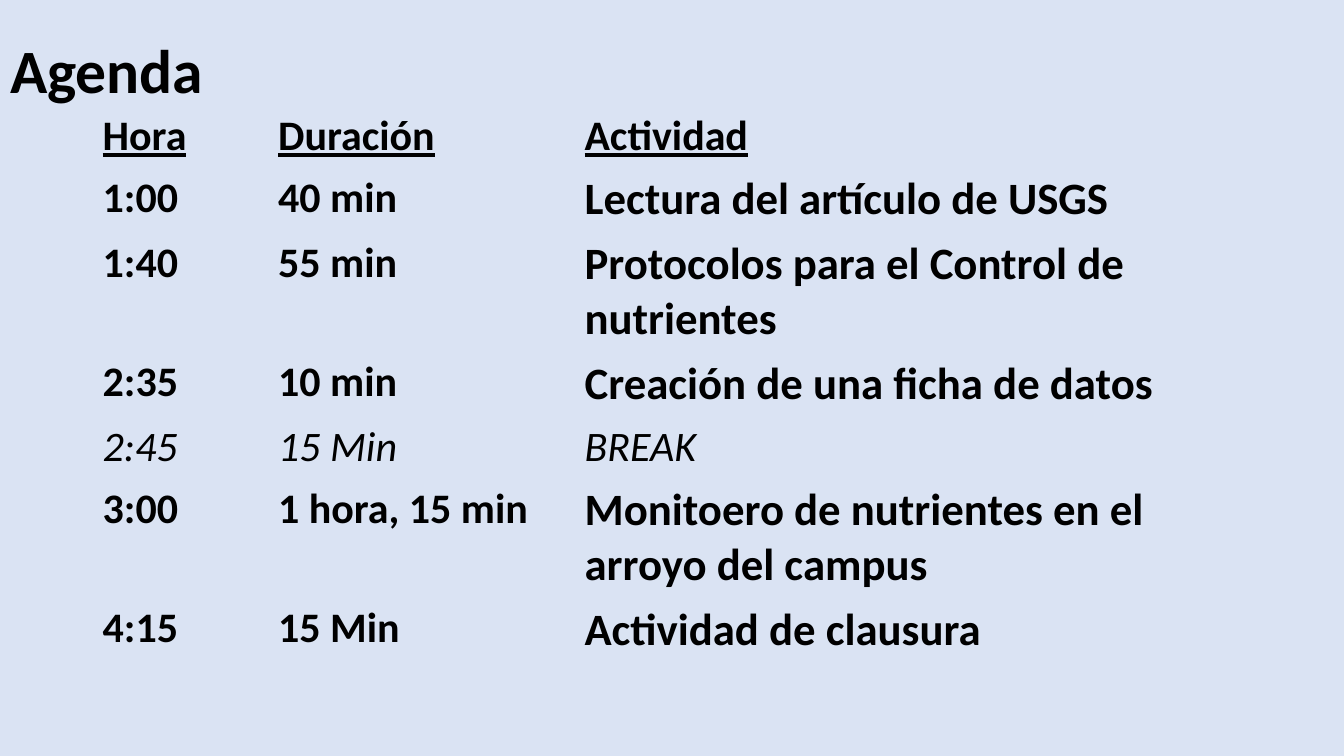
import pptx
import pptx.util
import pptx.dml.color
import pptx.enum.text
import pptx.oxml.ns

Pt = pptx.util.Pt
RGB = pptx.dml.color.RGBColor.from_string

THEME = {
    "font": "Calibri",
    "ink": "000000",
    "back": "DAE3F3",
    "title": 44,
    "cell": 30,
    "task": 32,
    "grid": "{2D5ABB26-0587-4C30-8999-92F81FD0307C}",
}

HEAD = {"bold": True, "underline": True}
PLAIN = {"bold": True}
PAUSE = {"bold": False, "italic": True}

AGENDA = [
    ("Hora", "Duración", "Actividad", HEAD),
    ("1:00", "40 min", "Lectura del artículo de USGS", PLAIN),
    ("1:40", "55 min", "Protocolos para el Control de nutrientes", PLAIN),
    ("2:35", "10 min", "Creación de una ficha de datos", PLAIN),
    ("2:45", "15 Min", "BREAK", PAUSE),
    ("3:00", "1 hora, 15 min", "Monitoero de nutrientes en el arroyo del campus", PLAIN),
    ("4:15", "15 Min", "Actividad de clausura", PLAIN),
]
WIDTHS = (125.3, 218.9, 484.6)
ROW = 29.5


class Deck:
    def __init__(self, theme):
        self.theme = theme
        self.file = pptx.Presentation()
        self.file.slide_width, self.file.slide_height = Pt(960), Pt(540)
        self.slide = self.file.slides.add_slide(self.file.slide_layouts[5])
        fill = self.slide.background.fill
        fill.solid()
        fill.fore_color.rgb = RGB(theme["back"])

    def label(self, frame, text, size, style):
        par = frame.paragraphs[0]
        par.alignment = pptx.enum.text.PP_ALIGN.LEFT
        run = par.add_run()
        run.text = text
        look = {"name": self.theme["font"], "size": Pt(size), **style}
        for key, value in look.items():
            setattr(run.font, key, value)
        run.font.color.rgb = RGB(self.theme["ink"])
        return par

    def title(self, text, left, top, width, height):
        shape = self.slide.shapes.title
        place = {"left": left, "top": top, "width": width, "height": height}
        for key, value in place.items():
            setattr(shape, key, Pt(value))
        shape.text_frame.vertical_anchor = pptx.enum.text.MSO_ANCHOR.MIDDLE
        par = self.label(shape.text_frame, text, self.theme["title"], PLAIN)
        par.line_spacing = 0.9

    def table(self, rows, left, top, height):
        frame = self.slide.shapes.add_table(
            len(rows), len(WIDTHS), Pt(left), Pt(top), Pt(sum(WIDTHS)), Pt(height))
        table = frame.table
        table.first_row = table.horz_banding = False
        for node in frame._element.iter(pptx.oxml.ns.qn("a:tableStyleId")):
            node.text = self.theme["grid"]
        for col, width in zip(table.columns, WIDTHS):
            col.width = Pt(width)
        for r, (*texts, style) in enumerate(rows):
            table.rows[r].height = Pt(ROW)
            for c, text in enumerate(texts):
                cell = table.cell(r, c)
                cell.fill.background()
                large = c == 2 and style is PLAIN
                size = self.theme["task" if large else "cell"]
                self.label(cell.text_frame, text, size, style)
        frame.height = Pt(height)


def main():
    deck = Deck(THEME)
    deck.title("Agenda", 0, 0, 828, 104.4)
    deck.table(AGENDA, 66.2, 75.6, 391)
    deck.file.save("out.pptx")


if __name__ == "__main__":
    main()
